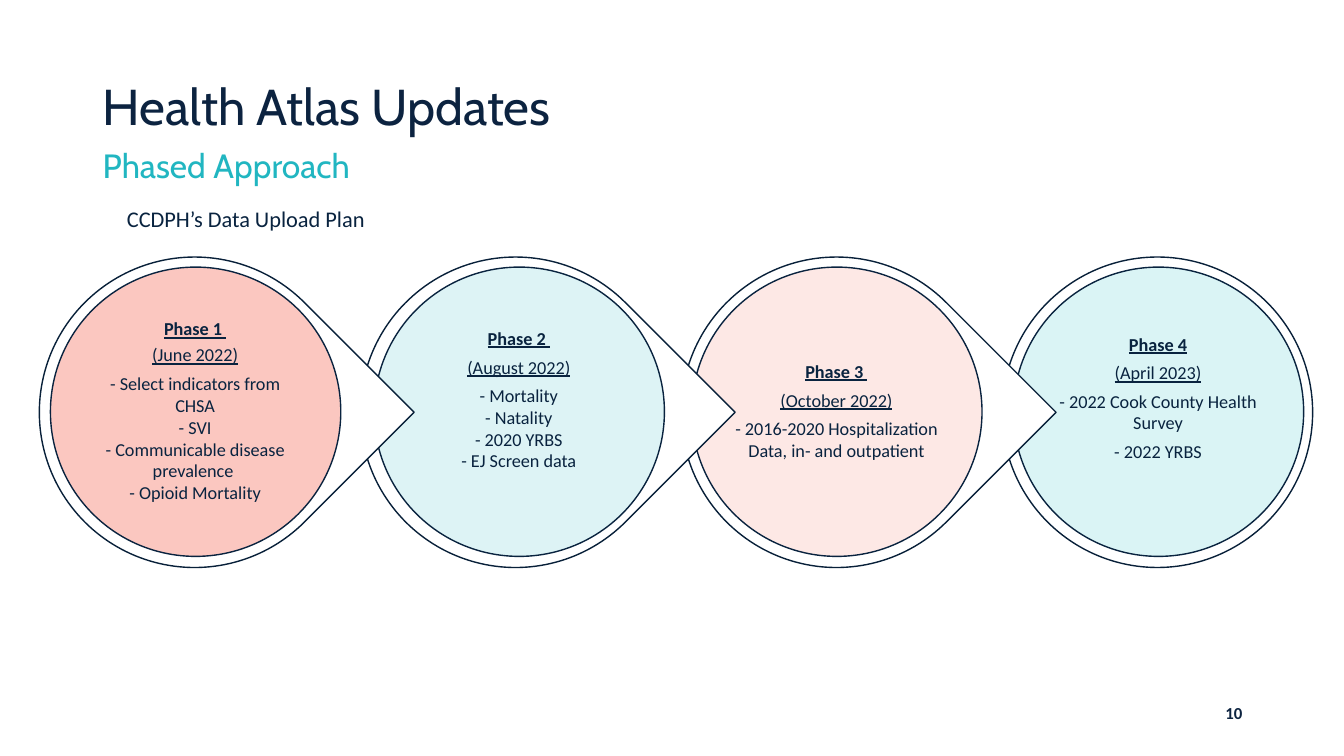
from lxml import etree
from pptx import Presentation
from pptx.dml.color import RGBColor
from pptx.enum.shapes import MSO_SHAPE
from pptx.enum.text import MSO_ANCHOR, PP_ALIGN
from pptx.oxml.ns import qn
from pptx.util import Inches, Pt

DROP, OVAL = MSO_SHAPE.TEAR, MSO_SHAPE.OVAL
MIDDLE, TOP = MSO_ANCHOR.MIDDLE, MSO_ANCHOR.TOP
LEFT, CENTER, RIGHT = PP_ALIGN.LEFT, PP_ALIGN.CENTER, PP_ALIGN.RIGHT
NAVY, INK, EDGE, TEAL = "0C2340", "09233F", "082039", "21B6C1"

deck = Presentation()
deck.slide_width, deck.slide_height = Inches(13.33), Inches(7.5)
slide = deck.slides.add_slide(deck.slide_layouts[6])
shapes = slide.shapes


def paint(target, color):
    if hasattr(target, "solid"):
        target.solid()
        target.fore_color.rgb = RGBColor.from_string(color)
    else:
        target.color.rgb = RGBColor.from_string(color)


def draw(kind, left, top, width, height, fill, edge):
    shape = shapes.add_shape(kind, Inches(left), Inches(top), Inches(width), Inches(height))
    shape.shadow.inherit = False
    paint(shape.fill, fill)
    paint(shape.line, edge)
    shape.line.width = Pt(1)
    return shape


# Headings and page number
labels = [
    ("Health Atlas Updates", (0.92, 0.76, 4.68, 0.65), False, MIDDLE, LEFT, 0.9, NAVY,
     {"name": "Cabin", "size": Pt(36)}),
    ("Phased Approach", (0.92, 1.43, 2.69, 0.52), False, TOP, LEFT, 0.9, TEAL,
     {"name": "Cabin", "size": Pt(24)}),
    ("CCDPH’s Data Upload Plan", (1.16, 2.02, 11.25, 0.38), True, TOP, LEFT, 0.9, INK,
     {"name": "Calibri", "size": Pt(16)}),
    ("10", (9.42, 6.87, 3, 0.4), True, MIDDLE, RIGHT, 1.0, NAVY,
     {"name": "Calibri", "size": Pt(12), "bold": True}),
]
for text, place, wrap, anchor, align, pitch, color, style in labels:
    frame = shapes.add_textbox(*map(Inches, place)).text_frame
    frame.word_wrap, frame.vertical_anchor = wrap, anchor
    para = frame.paragraphs[0]
    para.alignment, para.line_spacing = align, pitch
    run = para.add_run()
    run.text = text
    for key, value in style.items():
        setattr(run.font, key, value)
    paint(run.font.fill, color)

# Phases: disc left, disc fill, lift of the text, lines
phases = [
    (0.5, "FBC1BA", 0, ["Phase 1 ", "(June 2022)",
     "- Select indicators from CHSA\v- SVI\v- Communicable disease prevalence \v- Opioid Mortality"]),
    (3.71, "DAF2F5", 0.22, ["Phase 2 ", "(August 2022)",
     "- Mortality\v- Natality\v- 2020 YRBS\v- EJ Screen data"]),
    (6.86, "FDE6E3", 0, ["Phase 3 ", "(October 2022)",
     "- 2016-2020 Hospitalization Data, in- and outpatient"]),
    (10.05, "D7F3F5", 0.26, ["Phase 4", "(April 2023)",
     "- 2022 Cook County Health Survey", "- 2022 YRBS"]),
]
last = len(phases) - 1

# Drawn from right to left, so that each point lies over the next phase
for i in range(last, -1, -1):
    left, tint, lift, lines = phases[i]
    ring = draw(OVAL if i == last else DROP, 0.39 + 3.183 * i, 2.55, 3.08, 3.08, "FFFFFF", EDGE)
    if i < last:
        ring.adjustments[0] = 1
        ring.rotation = 45
    disc = draw(OVAL, left, 2.65, 2.88, 2.87, tint, INK)
    tone = disc.fill._xPr.find(qn("a:solidFill"))[0]
    etree.SubElement(tone, qn("a:alpha"), val="90000")

    box = shapes.add_textbox(Inches(left + 0.41), Inches(3.06), Inches(2.05), Inches(2.05))
    frame = box.text_frame
    layout = {"word_wrap": True, "vertical_anchor": MIDDLE,
              "margin_left": Inches(0.02), "margin_right": Inches(0.02),
              "margin_top": Inches(0.02), "margin_bottom": Inches(0.02 + lift)}
    for key, value in layout.items():
        setattr(frame, key, value)
    frame.text = "\n".join(lines)
    for row, para in enumerate(frame.paragraphs):
        para.alignment, para.space_after = CENTER, Pt(4.55)
        if row == 0 or (i == 0 and row == 1):
            para.line_spacing = 0.9
        style = {"name": "Calibri", "size": Pt(13), "bold": row == 0, "underline": row < 2}
        for run in para.runs:
            for key, value in style.items():
                setattr(run.font, key, value)
            paint(run.font.fill, INK)

deck.save("out.pptx")
